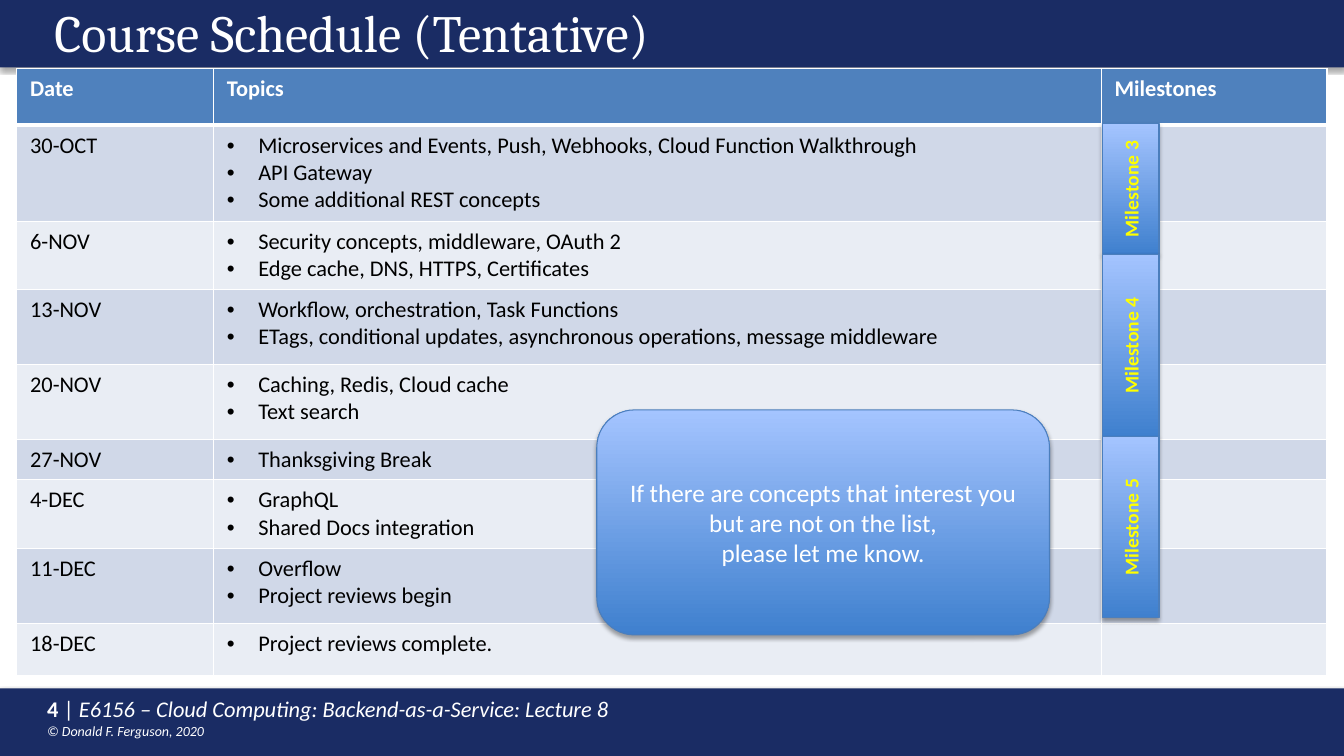
"""Build the course schedule slide."""
from dataclasses import dataclass

from lxml import etree
from pptx import Presentation
from pptx import util as u
from pptx.dml import color
from pptx.enum import shapes, text
from pptx.oxml import ns

NAVY, WHITE, BLACK, YELLOW = "1A2C64", "FFFFFF", "000000", "FFFF00"
HEADER, BANDS = "4F81BD", ("D0D8E8", "E9EDF4")
BOX_DARK, BOX_LIGHT, BOX_LINE = "3F80CE", "A4C4FF", "4B7EBC"
RECT = shapes.MSO_SHAPE.RECTANGLE
ROUNDED = shapes.MSO_SHAPE.ROUNDED_RECTANGLE


@dataclass
class Box:
    """Place and size in centimetres."""
    x: float
    y: float
    w: float
    h: float

    def lengths(self) -> list:
        """Give the four values as lengths."""
        return [u.Cm(v) for v in (self.x, self.y, self.w, self.h)]


@dataclass
class Style:
    """Look of a text run."""
    size: float
    hue: str = WHITE
    bold: bool = False
    italic: bool = False
    font: str = "Calibri"


@dataclass
class Week:
    """One row of the schedule."""
    date: str
    height: float
    topics: list[str]


WEEKS = [
    Week("30-OCT", 2.43, ["Microservices and Events, Push, Webhooks, Cloud Function Walkthrough",
                          "API Gateway", "Some additional REST concepts"]),
    Week("6-NOV", 1.71, ["Security concepts, middleware, OAuth 2",
                         "Edge cache, DNS, HTTPS, Certificates"]),
    Week("13-NOV", 1.89, ["Workflow, orchestration, Task Functions",
                          "ETags, conditional updates, asynchronous operations, message middleware"]),
    Week("20-NOV", 1.89, ["Caching, Redis, Cloud cache", "Text search"]),
    Week("27-NOV", 1.02, ["Thanksgiving Break"]),
    Week("4-DEC", 1.73, ["GraphQL", "Shared Docs integration"]),
    Week("11-DEC", 1.89, ["Overflow", "Project reviews begin"]),
    Week("18-DEC", 1.32, ["Project reviews complete."]),
]
COLUMNS = {"Date": 4.96, "Topics": 22.37, "Milestones": 5.69}
HEADER_HEIGHT = 1.42
MILESTONES = {"Milestone 3": 3.29, "Milestone 4": 4.59, "Milestone 5": 4.57}


def rgb(value: str) -> color.RGBColor:
    """Turn a hex string into a colour."""
    return color.RGBColor.from_string(value)


def sub(parent, tag: str, **attrs: str):
    """Add a drawing element."""
    return etree.SubElement(parent, ns.qn(f"a:{tag}"), attrs)


def add_run(p, words: str, style: Style) -> None:
    """Add one styled run."""
    r = p.add_run()
    r.text = words
    r.font.name, r.font.size = style.font, u.Pt(style.size)
    r.font.bold, r.font.italic = style.bold, style.italic
    r.font.color.rgb = rgb(style.hue)


def add_shape(s, kind, box: Box):
    """Add a preset shape with a soft shadow below it."""
    sp = s.shapes.add_shape(kind, *box.lengths())
    sp.shadow.inherit = False
    effects = sp._element.spPr.find(ns.qn("a:effectLst"))
    shadow = sub(effects, "outerShdw", blurRad="40000", dist="23000",
                 dir="5400000", rotWithShape="0")
    sub(sub(shadow, "srgbClr", val=BLACK), "alpha", val="35000")
    return sp


def add_band(s, box: Box) -> None:
    """Add a navy band across the slide."""
    sp = add_shape(s, RECT, box)
    sp.fill.solid()
    sp.fill.fore_color.rgb = rgb(NAVY)
    sp.line.fill.background()


def add_callout(s, kind, box: Box, lines: list[str], style: Style):
    """Add a gradient box with centred text."""
    sp = add_shape(s, kind, box)
    sp.fill.gradient()
    sp.fill.gradient_angle = 90
    for stop, hue in zip(sp.fill.gradient_stops, (BOX_DARK, BOX_LIGHT)):
        stop.color.rgb = rgb(hue)
    sp.line.color.rgb, sp.line.width = rgb(BOX_LINE), u.Pt(0.75)
    tf = sp.text_frame
    tf.word_wrap, tf.vertical_anchor = True, text.MSO_ANCHOR.MIDDLE
    p = tf.paragraphs[0]
    p.alignment = text.PP_ALIGN.CENTER
    for i, line in enumerate(lines):
        if i:
            p.add_line_break()
        add_run(p, line, style)
    return sp


def add_text(s, box: Box):
    """Add a wrapping text box and give its paragraph."""
    tf = s.shapes.add_textbox(*box.lengths()).text_frame
    tf.word_wrap = True
    return tf.paragraphs[0]


def fill_cell(cell, lines: list[str], style: Style, fill: str,
              bottom: float = 1, bullets: bool = False) -> None:
    """Set the borders, fill and text of a table cell."""
    cell.margin_left = cell.margin_right = u.Cm(0.34)
    cell.margin_top = cell.margin_bottom = u.Cm(0.17)
    tc_pr = cell._tc.get_or_add_tcPr()
    for side, width in {"L": 1, "R": 1, "T": 1, "B": bottom}.items():
        ln = sub(tc_pr, f"ln{side}", w=str(u.Pt(width)))
        sub(sub(ln, "solidFill"), "srgbClr", val=WHITE)
    cell.fill.solid()
    cell.fill.fore_color.rgb = rgb(fill)
    tf = cell.text_frame
    for i, line in enumerate(lines):
        p = tf.add_paragraph() if i else tf.paragraphs[0]
        if bullets:
            p_pr = p._p.get_or_add_pPr()
            p_pr.set("marL", str(u.Cm(0.79)))
            p_pr.set("indent", str(-u.Cm(0.79)))
            sub(p_pr, "buFont", typeface="Arial")
            sub(p_pr, "buChar", char="•")
        add_run(p, line, style)
    if not lines:
        sub(tf.paragraphs[0]._p, "endParaRPr", sz=str(style.size * 100))


def add_schedule(s) -> None:
    """Add the table of weeks."""
    heights = [HEADER_HEIGHT] + [week.height for week in WEEKS]
    box = Box(0.42, 1.73, sum(COLUMNS.values()), sum(heights))
    table = s.shapes.add_table(len(heights), len(COLUMNS), *box.lengths()).table
    table.horz_banding = False
    for column, width in zip(table.columns, COLUMNS.values()):
        column.width = u.Cm(width)
    for row, height in zip(table.rows, heights):
        row.height = u.Cm(height)
    for i, name in enumerate(COLUMNS):
        fill_cell(table.cell(0, i), [name], Style(16, bold=True), HEADER, bottom=3)
    body = Style(16, BLACK)
    for i, week in enumerate(WEEKS):
        for j, lines in enumerate(([week.date], week.topics, [])):
            fill_cell(table.cell(i + 1, j), lines, body, BANDS[i % 2], bullets=j == 1)


def main() -> None:
    """Draw and save the slide."""
    prs = Presentation()
    prs.slide_width, prs.slide_height = u.Cm(33.87), u.Cm(19.05)
    s = prs.slides.add_slide(prs.slide_layouts[6])
    for y in (17.35, 0):
        add_band(s, Box(0, y, 33.87, 1.7))

    p = add_text(s, Box(0.94, 17.4, 25.12, 1.37))
    add_run(p, "4 ", Style(16, bold=True))
    add_run(p, "| ", Style(16))
    add_run(p, "E6156 – Cloud Computing: Backend-as-a-Service: Lecture 8", Style(16, italic=True))
    p.add_line_break()
    add_run(p, "© Donald F. Ferguson, 2020", Style(10, italic=True))

    p = add_text(s, Box(1.12, 0.05, 30.66, 1.45))
    p.line_spacing = 0.9
    add_run(p, "Course Schedule (Tentative)", Style(37.3, font="Cambria"))

    add_schedule(s)
    y = 3.12
    for name, height in MILESTONES.items():
        sp = add_callout(s, RECT, Box(27.79, y, 1.42, height), [name],
                         Style(14, YELLOW, bold=True))
        sp.text_frame._txBody.bodyPr.set("vert", "vert270")
        y += height
    add_callout(s, ROUNDED, Box(15.04, 10.33, 11.41, 5.67),
                ["If there are concepts that interest you but are not on the list,",
                 "please let me know."], Style(18))
    prs.save("out.pptx")


if __name__ == "__main__":
    main()
